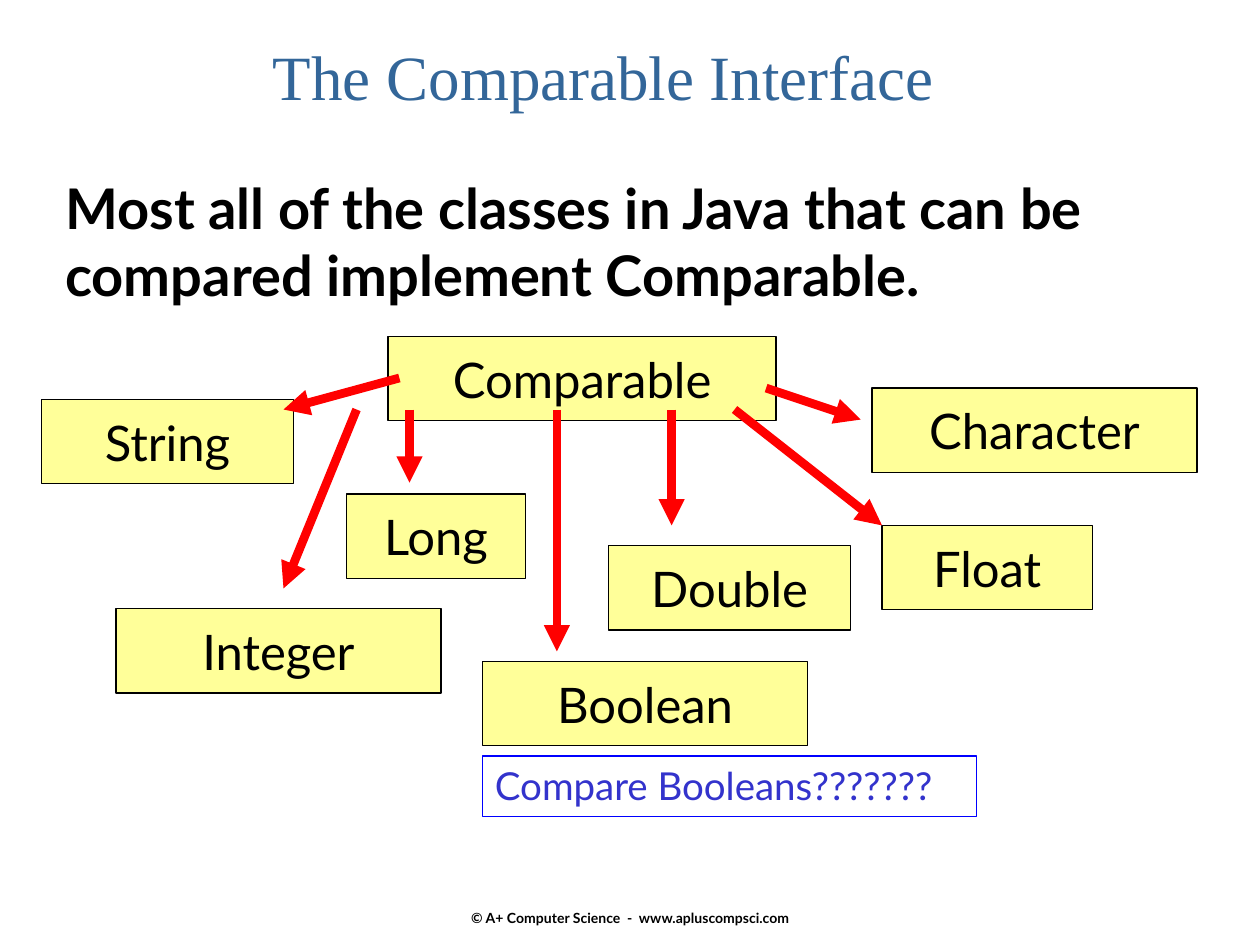
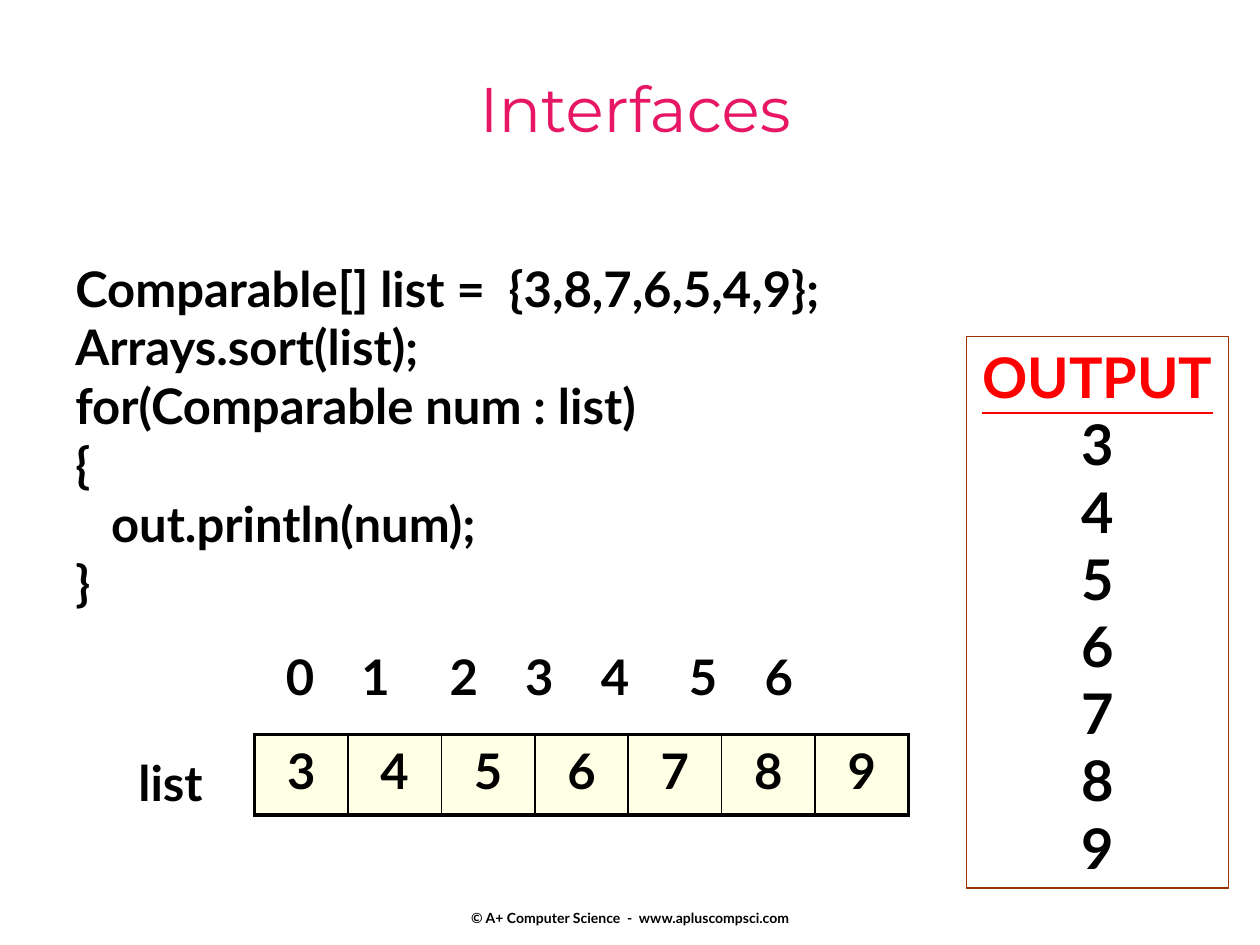
from lxml import etree
from pptx import Presentation
from pptx.dml.color import RGBColor
from pptx.enum import shapes, text
from pptx.oxml import ns
from pptx.util import Inches, Pt

BLACK = RGBColor(0x00, 0x00, 0x00)
RED = RGBColor(0xFF, 0x00, 0x00)
STEEL = RGBColor(0x33, 0x66, 0x99)
PINK = RGBColor(0xE8, 0x17, 0x66)
YELLOW = RGBColor(0xFF, 0xFF, 0x99)
CREAM = RGBColor(0xFF, 0xFF, 0xE6)
BLUE = RGBColor(0x00, 0x00, 0xFF)
INDIGO = RGBColor(0x33, 0x33, 0xCC)
BROWN = RGBColor(0x99, 0x33, 0x00)
LEFT, CENTER = text.PP_ALIGN.LEFT, text.PP_ALIGN.CENTER
TOP, MIDDLE = text.MSO_ANCHOR.TOP, text.MSO_ANCHOR.MIDDLE


def add_element(parent, tag, **attributes):
    return etree.SubElement(parent, ns.qn(tag), attributes)


class Deck:
    font = "Lato"
    footer = "© A+ Computer Science  -  www.apluscompsci.com"

    def __init__(self):
        self.presentation = Presentation()
        self.presentation.slide_width = Inches(10)
        self.presentation.slide_height = Inches(7.5)
        self.slide = None

    def start(self, title, area, color, font):
        self.slide = self.presentation.slides.add_slide(self.presentation.slide_layouts[6])
        self.label(self.footer, (3.42, 7.12, 3.17, 0.33), 8, align=CENTER, anchor=MIDDLE)
        self.label(title, area, 36, color, False, CENTER, font=font)

    def set_text(self, frame, lines, size, color=BLACK, bold=True, align=LEFT,
                 anchor=TOP, font=None):
        frame.word_wrap = True
        frame.vertical_anchor = anchor
        for index, line in enumerate(lines):
            paragraph = frame.paragraphs[0] if index == 0 else frame.add_paragraph()
            paragraph.alignment = align
            run = paragraph.add_run()
            run.text = line
            run.font.name = font or self.font
            run.font.size = Pt(size)
            run.font.bold = bold
            run.font.color.rgb = color
        return frame

    def label(self, words, area, size, *style, **options):
        box = self.slide.shapes.add_textbox(*map(Inches, area))
        return self.set_text(box.text_frame, words.split("\n"), size, *style, **options)

    def panel(self, words, area, size, color, bold, align, anchor, outline,
              fill=None, weight=0.75):
        box = self.slide.shapes.add_shape(shapes.MSO_SHAPE.RECTANGLE, *map(Inches, area))
        box.shadow.inherit = False
        box.line.color.rgb = outline
        box.line.width = Pt(weight)
        if fill is None:
            box.fill.background()
        else:
            box.fill.solid()
            box.fill.fore_color.rgb = fill
        return self.set_text(box.text_frame, words.split("\n"), size, color, bold, align, anchor)

    def class_box(self, name, left, top, width):
        self.panel(name, (left, top, width, 0.67), 28, BLACK, False, CENTER, MIDDLE,
                   BLACK, YELLOW)

    def arrow(self, start, end):
        line = self.slide.shapes.add_connector(
            shapes.MSO_CONNECTOR.STRAIGHT, *map(Inches, start + end))
        line.line.color.rgb = RED
        line.line.width = Pt(5)
        properties = line._element.spPr
        add_element(properties.find(ns.qn("a:ln")), "a:tailEnd", type="triangle")
        add_element(properties, "a:effectLst")

    def tabbed(self, values, area, size, stops):
        paragraph = self.label("\t".join(values), area, size).paragraphs[0]
        tabs = add_element(paragraph._p.get_or_add_pPr(), "a:tabLst")
        for stop in stops:
            add_element(tabs, "a:tab", pos=str(Inches(stop)), algn="l")

    def array(self, values, area):
        table = self.slide.shapes.add_table(1, len(values), *map(Inches, area)).table
        last = len(values) - 1
        for index, value in enumerate(values):
            cell = table.cell(0, index)
            weights = {"L": 1 if index else 2.25, "R": 1 if index < last else 2.25,
                       "T": 2.25, "B": 2.25}
            for side, weight in weights.items():
                border = add_element(cell._tc.get_or_add_tcPr(), f"a:ln{side}",
                                     w=str(Pt(weight)))
                solid = add_element(border, "a:solidFill")
                add_element(solid, "a:srgbClr", val=str(BLACK))
            cell.fill.solid()
            cell.fill.fore_color.rgb = CREAM
            self.set_text(cell.text_frame, [value], 28, align=CENTER)


def comparable_slide(deck):
    deck.start("The Comparable Interface", (1.5, 0.25, 6.58, 0.67), STEEL, "Times New Roman")
    deck.label("Most all of the classes in Java that can be compared implement Comparable.",
               (0.42, 1.33, 9.08, 1.17), 32)
    deck.panel("Compare Booleans???????", (3.83, 6, 3.92, 0.48), 22, INDIGO, False,
               LEFT, TOP, BLUE)
    for name, left, top, width in (
        ("Comparable", 3.08, 2.67, 3.08),
        ("String", 0.33, 3.17, 2),
        ("Integer", 0.92, 4.83, 2.58),
        ("Long", 2.75, 3.92, 1.42),
        ("Boolean", 3.83, 5.25, 2.58),
        ("Double", 4.83, 4.33, 1.92),
        ("Float", 7, 4.17, 1.67),
        ("Character", 6.92, 3.08, 2.58),
    ):
        deck.class_box(name, left, top, width)
    for start, end in (
        ((3.17, 3), (2.25, 3.25)),
        ((2.83, 3.25), (2.25, 4.67)),
        ((3.25, 3.25), (3.25, 3.83)),
        ((4.42, 3.25), (4.42, 5.17)),
        ((5.33, 3.25), (5.33, 4.17)),
        ((5.83, 3.25), (7, 4.17)),
        ((6.08, 3.08), (6.83, 3.33)),
    ):
        deck.arrow(start, end)


def sorting_slide(deck):
    code = """Comparable[] list =  {3,8,7,6,5,4,9};
Arrays.sort(list);
for(Comparable num : list)
{
   out.println(num);
}"""
    numbers = "3456789"
    deck.start("Interfaces", (1.58, 0.5, 6.92, 0.92), PINK, "Montserrat")
    deck.label(code, (0.5, 2, 7.37, 3.57), 28)
    output = deck.panel("\n".join(("OUTPUT", *numbers)), (7.67, 2.67, 2.08, 4.38), 32,
                        BLACK, True, CENTER, TOP, BROWN, weight=1)
    heading = output.paragraphs[0].runs[0].font
    heading.color.rgb = RED
    heading.underline = True
    deck.label("list", (1, 5.92, 0.8, 0.57), 28)
    deck.array(numbers, (2.02, 5.83, 5.19, 0.64))
    deck.tabbed("0123456", (2.17, 5.08, 5, 0.57), 28, (0.6, 1.3, 1.9, 2.5, 3.2, 3.8))


def main():
    deck = Deck()
    comparable_slide(deck)
    sorting_slide(deck)
    deck.presentation.save("out.pptx")


if __name__ == "__main__":
    main()
